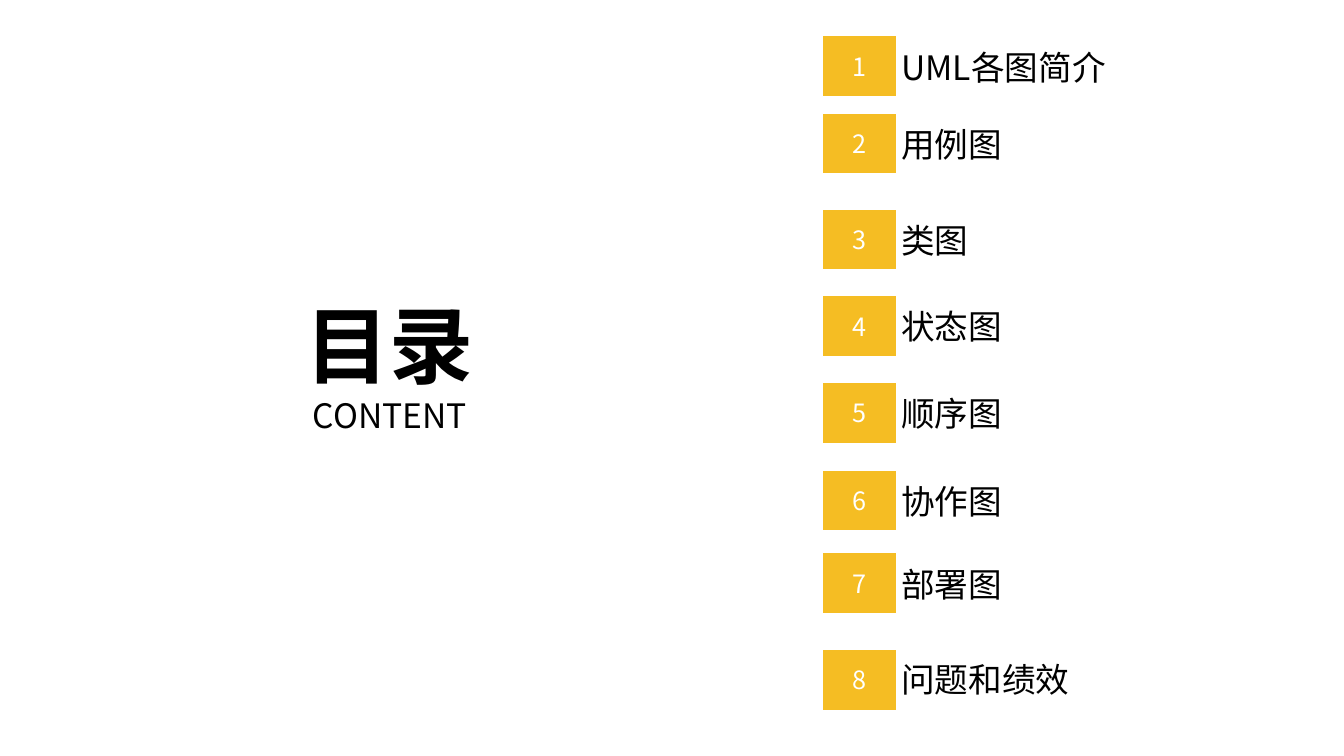
from lxml.etree import SubElement
from pptx import Presentation
from pptx.dml.color import RGBColor
from pptx.enum.shapes import MSO_SHAPE
from pptx.enum.text import MSO_ANCHOR, MSO_AUTO_SIZE, PP_ALIGN
from pptx.oxml.ns import qn
from pptx.util import Inches, Pt

FONT = "Noto Sans CJK SC"
COLORS = {"badge": "F5BD23", "white": "FFFFFF", "text": "000000"}
# badge top, label top, chapter name
CHAPTERS = [
    (0.36, 0.29, "UML各图简介"),
    (1.13, 1.05, "用例图"),
    (2.08, 2.00, "类图"),
    (2.94, 2.86, "状态图"),
    (3.80, 3.72, "顺序图"),
    (4.67, 4.59, "协作图"),
    (5.49, 5.41, "部署图"),
    (6.45, 6.36, "问题和绩效"),
]
BADGE_LEFT, BADGE_W, BADGE_H = 8.16, 0.73, 0.59
LABEL_W, LABEL_H = 3.02, 0.76
CIRCLE = [Inches(v) for v in (2.51, 2.26, 2.71, 2.71)]


def color(name):
    return RGBColor.from_string(COLORS[name])


def write(p, text, size=24, fill="text", bold=False, align=PP_ALIGN.LEFT):
    p.alignment = align
    r = p.add_run()
    r.text = text
    r.font.size = Pt(size)
    r.font.bold = bold
    r.font.color.rgb = color(fill)
    r.font.name = FONT
    SubElement(r._r.get_or_add_rPr(), qn("a:ea"), typeface=FONT)


def set_frame(sp, inset):
    tf = sp.text_frame
    tf.word_wrap = True
    tf.auto_size = MSO_AUTO_SIZE.NONE
    tf.vertical_anchor = MSO_ANCHOR.MIDDLE
    tf.margin_left = tf.margin_right = Inches(inset)
    tf.margin_top = tf.margin_bottom = Inches(0.05)
    return tf


def add_plain_shape(slide, kind, box, fill):
    sp = slide.shapes.add_shape(kind, *box)
    sp.shadow.inherit = False
    sp.fill.solid()
    sp.fill.fore_color.rgb = color(fill)
    sp.line.fill.background()
    return sp


def add_outline(slide, left, top, width, height):
    """Add an unfilled four-sided freeform that carries text."""
    right, bottom = left + width, top + height
    builder = slide.shapes.build_freeform(left, top)
    builder.add_line_segments([(right, top), (right, bottom), (left, bottom)])
    sp = builder.convert_to_shape()
    sp.shadow.inherit = False
    sp.fill.background()
    sp.line.fill.background()
    return sp


def add_title(slide):
    """Set the heading over a translucent white circle."""
    circle = add_plain_shape(slide, MSO_SHAPE.OVAL, CIRCLE, "white")
    rgb = circle._element.spPr.find(qn("a:solidFill")).find(qn("a:srgbClr"))
    SubElement(rgb, qn("a:alpha"), val="78000")

    title = slide.shapes.title
    title.left, title.top, title.width, title.height = CIRCLE
    slide.shapes._spTree.append(title._element)
    tf = set_frame(title, 0.1)
    write(tf.paragraphs[0], "目录", size=60, bold=True, align=PP_ALIGN.CENTER)
    write(tf.add_paragraph(), "CONTENT", align=PP_ALIGN.CENTER)


def add_chapter(slide, number, badge_top, label_top, name):
    box = [Inches(v) for v in (BADGE_LEFT, badge_top, BADGE_W, BADGE_H)]
    badge = add_plain_shape(slide, MSO_SHAPE.PARALLELOGRAM, box, "badge")
    badge.adjustments[0] = 0
    write(set_frame(badge, 0.1).paragraphs[0], str(number),
          size=18, fill="white", align=PP_ALIGN.CENTER)

    label = add_outline(slide, Inches(BADGE_LEFT + BADGE_W), Inches(label_top),
                        Inches(LABEL_W), Inches(LABEL_H))
    write(set_frame(label, 0.05).paragraphs[0], name)


def main():
    prs = Presentation()
    prs.slide_width, prs.slide_height = Inches(13.33), Inches(7.5)
    slide = prs.slides.add_slide(prs.slide_layouts[5])
    add_title(slide)
    for number, (badge_top, label_top, name) in enumerate(CHAPTERS, 1):
        add_chapter(slide, number, badge_top, label_top, name)
    prs.save("out.pptx")


if __name__ == "__main__":
    main()
